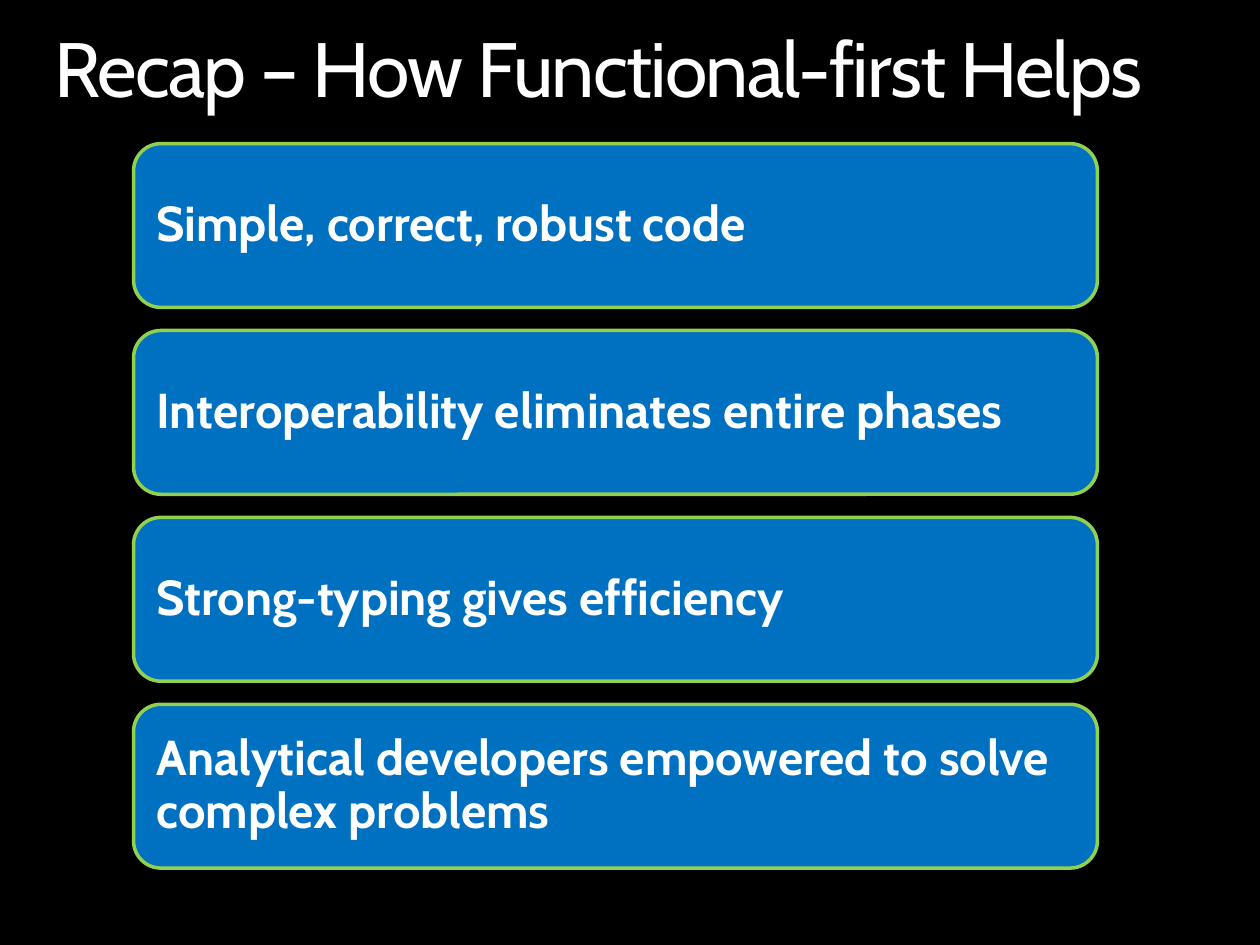
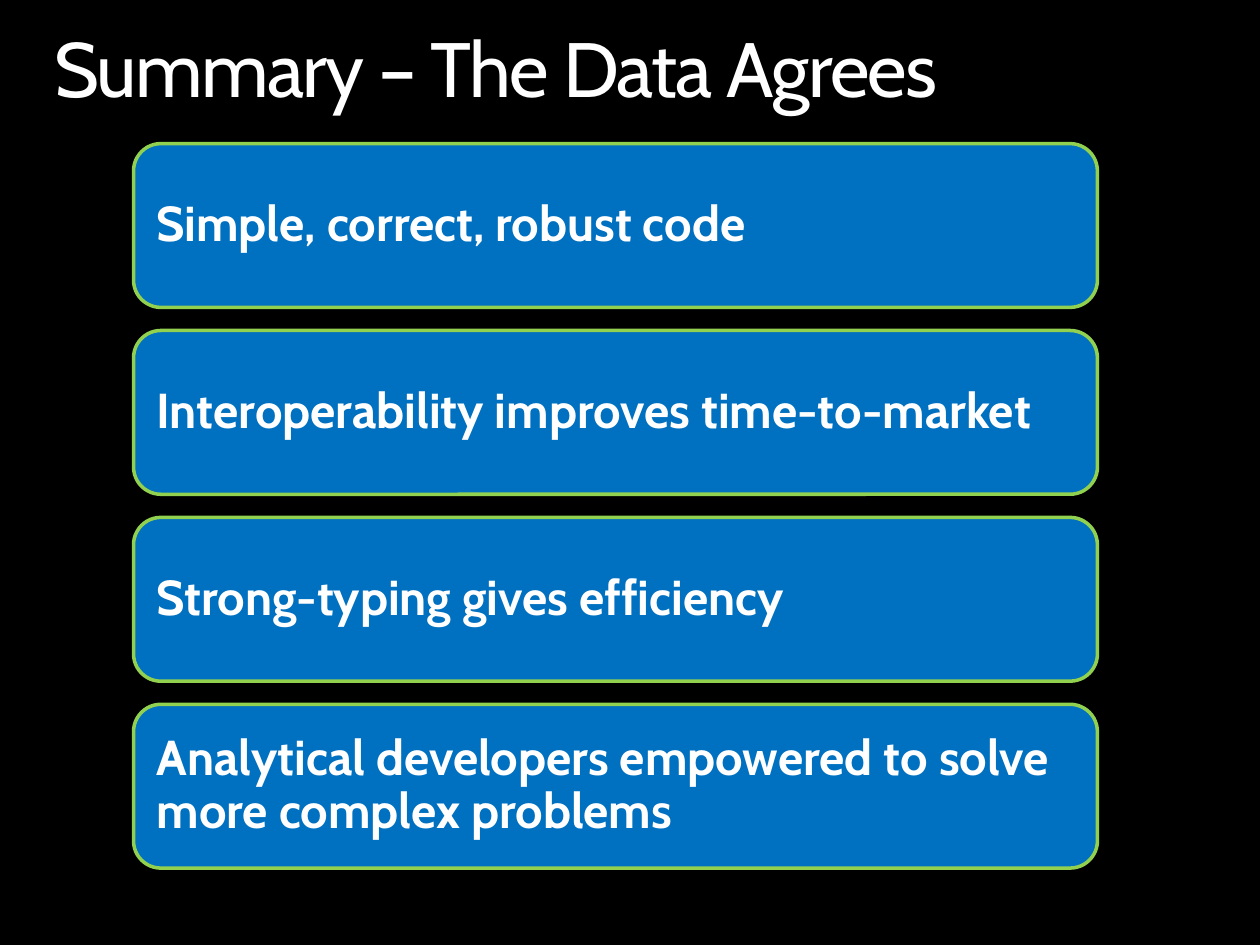
from dataclasses import dataclass

from pptx import Presentation
from pptx.dml.color import RGBColor
from pptx.enum.shapes import MSO_SHAPE
from pptx.enum.text import MSO_ANCHOR, PP_ALIGN
from pptx.shapes.autoshape import Shape
from pptx.slide import Slide
from pptx.util import Inches, Pt

COLORS = {"back": "000000", "text": "FFFFFF", "card": "0070C0", "edge": "92D050"}
FONT = "Cabin"
WIDTH, HEIGHT = Inches(10), Inches(7.5)
COLS, ROWS = 100, 75


@dataclass(frozen=True)
class Area:
    """A place on the slide, in columns and rows of the grid."""
    left: float
    top: float
    width: float
    height: float

    def emu(self) -> tuple[int, int, int, int]:
        col, row = WIDTH / COLS, HEIGHT / ROWS
        return (round(self.left * col), round(self.top * row),
                round(self.width * col), round(self.height * row))


@dataclass(frozen=True)
class Page:
    title: str
    points: tuple[str, ...]


TITLE = Area(4.3, 2.5, 91.5, 6.7)
STACK = Area(10.6, 11.4, 76.5, 57.5)
CARD = 13

PAGES = (
    Page("Recap – How Functional-first Helps", (
        "Simple, correct, robust code",
        "Interoperability eliminates entire phases",
        "Strong-typing gives efficiency",
        "Analytical developers empowered to solve complex problems",
    )),
    Page("Summary – The Data Agrees", (
        "Simple, correct, robust code",
        "Interoperability improves time-to-market",
        "Strong-typing gives efficiency",
        "Analytical developers empowered to solve more complex problems",
    )),
)


def color(name: str) -> RGBColor:
    return RGBColor.from_string(COLORS[name])


def write(shape: Shape, text: str, *, size: float, bold: bool = False,
          inset: float = 0, anchor: MSO_ANCHOR = MSO_ANCHOR.TOP,
          track: float = 0) -> None:
    """Fill a shape with one paragraph; track is letter spacing in points."""
    frame = shape.text_frame
    frame.word_wrap = True
    frame.vertical_anchor = anchor
    frame.margin_left = frame.margin_right = Inches(inset)
    frame.margin_top = frame.margin_bottom = Inches(inset)
    para = frame.paragraphs[0]
    para.alignment = PP_ALIGN.LEFT
    para.line_spacing = 0.9
    run = para.add_run()
    run.text = text
    run.font.name = FONT
    run.font.size = Pt(size)
    run.font.bold = bold
    run.font.color.rgb = color("text")
    if track:
        run.font._element.set("spc", str(round(track * 100)))


def add_title(slide: Slide, text: str) -> None:
    box = slide.shapes.add_textbox(*TITLE.emu())
    write(box, text, size=44, track=-1)


def add_card(slide: Slide, area: Area, text: str) -> None:
    card = slide.shapes.add_shape(MSO_SHAPE.ROUNDED_RECTANGLE, *area.emu())
    card.shadow.inherit = False
    card.fill.solid()
    card.fill.fore_color.rgb = color("card")
    card.line.color.rgb = color("edge")
    card.line.width = Pt(2)
    write(card, text, size=28, bold=True, inset=0.12, anchor=MSO_ANCHOR.MIDDLE)


def add_stack(slide: Slide, points: tuple[str, ...]) -> None:
    """Spread one card per point evenly down the stack."""
    step = (STACK.height - CARD) / (len(points) - 1)
    for i, text in enumerate(points):
        area = Area(STACK.left, STACK.top + i * step, STACK.width, CARD)
        add_card(slide, area, text)


def main() -> None:
    deck = Presentation()
    deck.slide_width, deck.slide_height = WIDTH, HEIGHT
    back = deck.slide_master.background.fill
    back.solid()
    back.fore_color.rgb = color("back")
    for page in PAGES:
        slide = deck.slides.add_slide(deck.slide_layouts[6])
        add_title(slide, page.title)
        add_stack(slide, page.points)
    deck.save("out.pptx")


if __name__ == "__main__":
    main()
